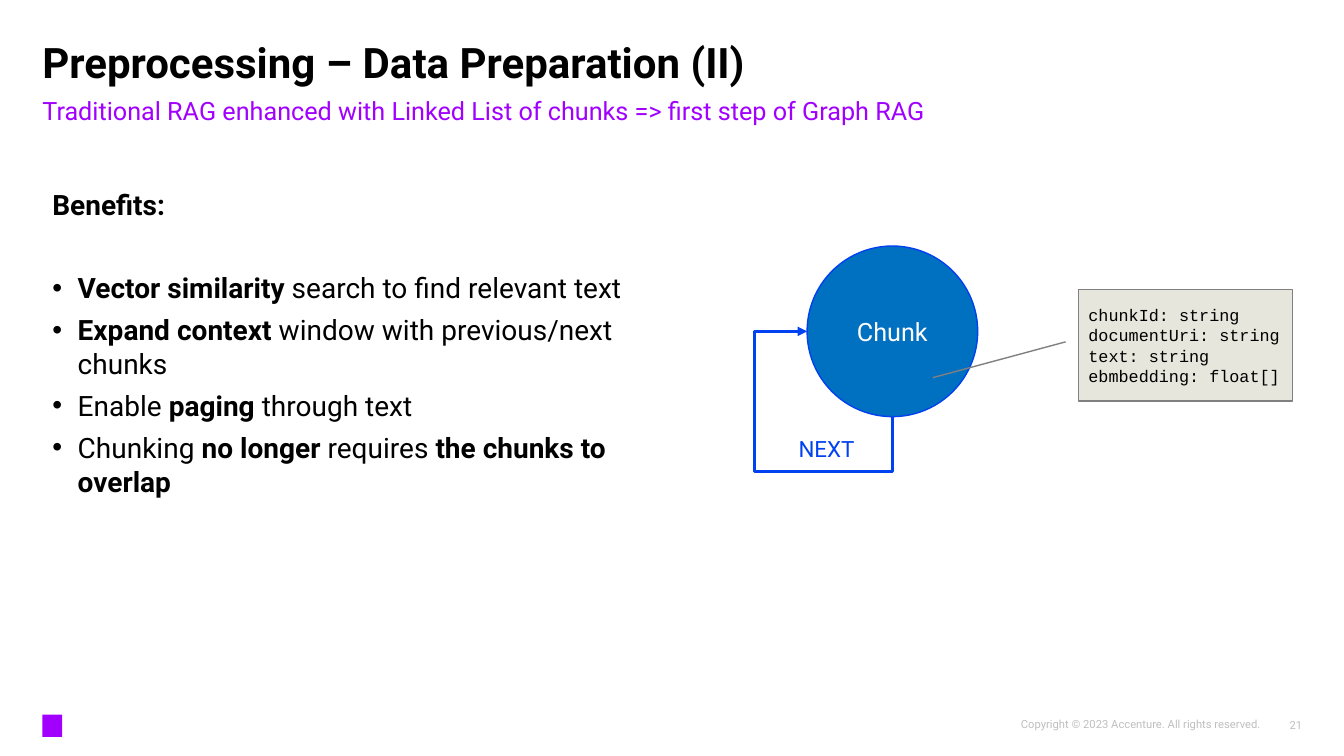
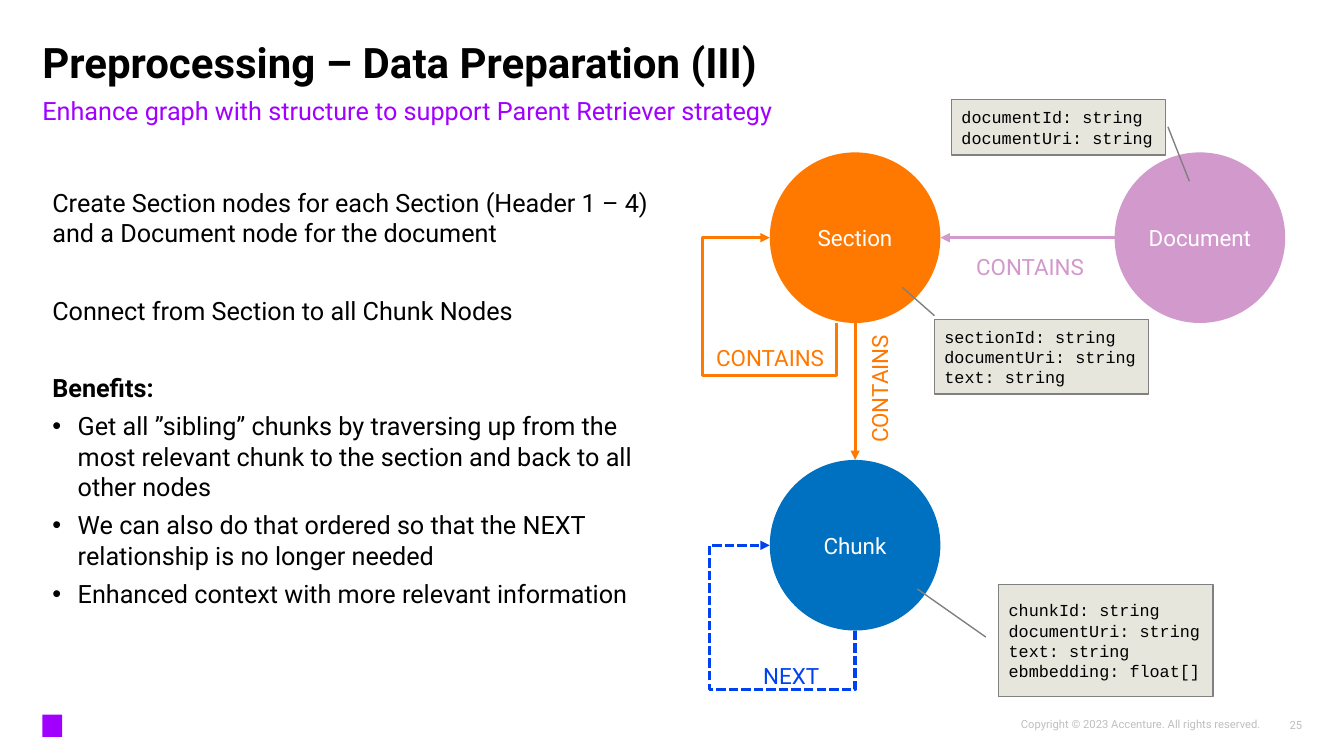
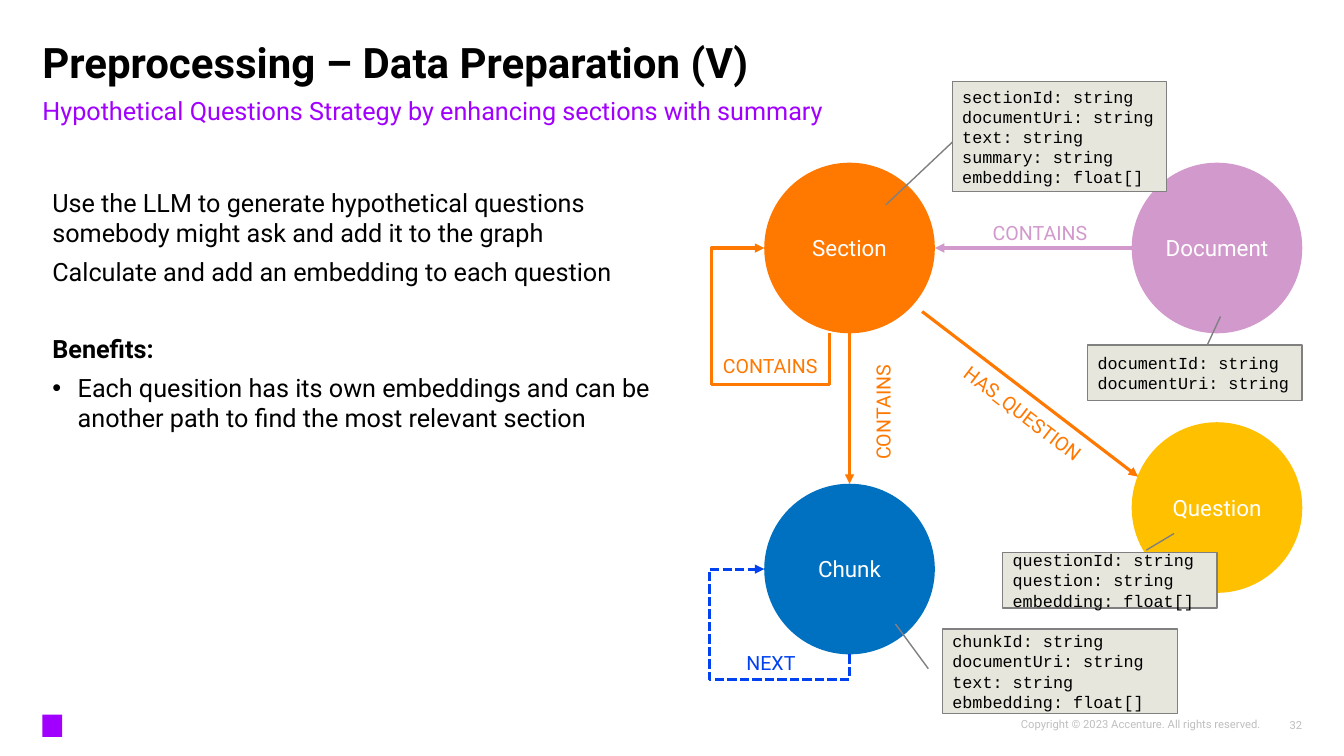
from lxml.etree import SubElement
from pptx import Presentation
from pptx.dml.color import RGBColor
from pptx.enum.dml import MSO_LINE
from pptx.enum.shapes import MSO_CONNECTOR, MSO_SHAPE
from pptx.enum.text import MSO_ANCHOR, PP_ALIGN
from pptx.oxml.ns import qn
from pptx.util import Cm, Pt

COLORS = {
    "black": "000000", "white": "FFFFFF", "purple": "A100FF", "footer": "BFBFBF",
    "chunk": "0070C0", "next": "0041F0", "section": "FF7800",
    "document": "D299CC", "question": "FFC000", "note": "E6E6DC", "note_line": "808080",
}
RADIUS = 2.15
NOTE_WIDTH = 5.4
CHUNK_FIELDS = ["chunkId: string", "documentUri: string", "text: string", "ebmbedding: float[]"]
SECTION_FIELDS = ["sectionId: string", "documentUri: string", "text: string"]
DOCUMENT_FIELDS = ["documentId: string", "documentUri: string"]
QUESTION_FIELDS = ["questionId: string", "question: string", "embedding: float[]"]


def color(name):
    return RGBColor.from_string(COLORS[name])


# Text
def add_span(para, text, size, tint="black", bold=False, font="Roboto"):
    span = para.add_run()
    span.text = text
    span.font.name = font
    span.font.size = Pt(size)
    span.font.bold = bold
    span.font.color.rgb = color(tint)


def set_insets(frame, inset):
    frame.margin_left = frame.margin_right = Cm(inset)
    frame.margin_top = frame.margin_bottom = Cm(inset)


def add_text(page, place, text, size, tint, bold=False, align=PP_ALIGN.LEFT, anchor=MSO_ANCHOR.TOP):
    box = page.shapes.add_textbox(*map(Cm, place))
    frame = box.text_frame
    frame.word_wrap = True
    frame.vertical_anchor = anchor
    set_insets(frame, 0)
    para = frame.paragraphs[0]
    para.alignment = align
    add_span(para, text, size, tint, bold)
    return box


def add_label(page, x, y, text, size, tint, rotation=0):
    width, height = 4.6, 0.86
    place = (x - width / 2, y - height / 2, width, height)
    box = add_text(page, place, text, size, tint, align=PP_ALIGN.CENTER)
    box.rotation = rotation


def add_bullet(para):
    properties = para._p.get_or_add_pPr()
    properties.set("marL", str(Cm(0.64)))
    properties.set("indent", str(-Cm(0.64)))
    SubElement(properties, qn("a:buFont")).set("typeface", "Arial")
    SubElement(properties, qn("a:buChar")).set("char", "•")


def add_body(page, size, items):
    """Each item is (bulleted, space after, [(text, bold), ...])."""
    frame = page.shapes.add_textbox(Cm(1.07), Cm(4.6), Cm(15.88), Cm(12.93)).text_frame
    frame.word_wrap = True
    for index, (bulleted, after, spans) in enumerate(items):
        para = frame.add_paragraph() if index else frame.paragraphs[0]
        if bulleted:
            add_bullet(para)
        para.space_after = Pt(after)
        for text, bold in spans:
            add_span(para, text, size, bold=bold)


# Graph parts
def add_block(page, kind, place, fill, line=None):
    shape = page.shapes.add_shape(kind, *map(Cm, place))
    shape.shadow.inherit = False
    shape.fill.solid()
    shape.fill.fore_color.rgb = color(fill)
    if line:
        shape.line.color.rgb = color(line)
        shape.line.width = Pt(1)
    else:
        shape.line.fill.background()
    frame = shape.text_frame
    frame.word_wrap = True
    frame.vertical_anchor = MSO_ANCHOR.MIDDLE
    return shape


def add_node(page, center, text, fill, size=16, line=None):
    x, y = center
    place = (x - RADIUS, y - RADIUS, 2 * RADIUS, 2 * RADIUS)
    frame = add_block(page, MSO_SHAPE.OVAL, place, fill, line).text_frame
    set_insets(frame, 0)
    para = frame.paragraphs[0]
    para.alignment = PP_ALIGN.CENTER
    add_span(para, text, size, "white")


def add_note(page, left, top, height, fields, pointer, width=NOTE_WIDTH):
    note = add_block(page, MSO_SHAPE.LINE_CALLOUT_1, (left, top, width, height), "note", "note_line")
    for index, value in enumerate(pointer):
        note.adjustments[index] = value
    frame = note.text_frame
    set_insets(frame, 0.25)
    for index, field in enumerate(fields):
        para = frame.add_paragraph() if index else frame.paragraphs[0]
        para.alignment = PP_ALIGN.LEFT
        add_span(para, field, 12, font="Courier New")


def add_arrow(page, start, end, tint, kind=MSO_CONNECTOR.STRAIGHT):
    arrow = page.shapes.add_connector(kind, *map(Cm, start + end))
    arrow.line.color.rgb = color(tint)
    arrow.line.width = Pt(2.25)
    SubElement(arrow.line._get_or_add_ln(), qn("a:tailEnd")).set("type", "triangle")
    SubElement(arrow._element.spPr, qn("a:effectLst"))
    return arrow


def add_loop(page, center, left, bottom, tint, shift=0, dashed=False):
    """Run from below a node, around its lower left, and back into its left side."""
    x, y = center
    start_x, start_y, end_x = x - shift, y + RADIUS, x - RADIUS
    rise, run = RADIUS, start_x - end_x
    # The connector is laid out flat, then mirrored and turned about its middle
    corner_x = (start_x + end_x - rise) / 2
    corner_y = (start_y + y - run) / 2
    arrow = add_arrow(page, (corner_x, corner_y), (corner_x + rise, corner_y + run),
                      tint, MSO_CONNECTOR.ELBOW)
    if dashed:
        arrow.line.dash_style = MSO_LINE.SQUARE_DOT
    properties = arrow._element.spPr
    frame = properties.find(qn("a:xfrm"))
    frame.set("rot", "5400000")
    frame.set("flipH", "1")
    geometry = properties.find(qn("a:prstGeom"))
    geometry.set("prst", "bentConnector4")
    guides = geometry.find(qn("a:avLst"))
    ratios = ((start_y - bottom) / rise, (start_x - left) / run)
    for index, ratio in enumerate(ratios, 1):
        guide = SubElement(guides, qn("a:gd"))
        guide.set("name", f"adj{index}")
        guide.set("fmla", f"val {round(ratio * 100000)}")


def link_down(page, upper, lower, tint):
    add_arrow(page, (upper[0], upper[1] + RADIUS), (lower[0], lower[1] - RADIUS), tint)


def link_left(page, right, left, tint):
    add_arrow(page, (right[0] - RADIUS, right[1]), (left[0] + RADIUS, left[1]), tint)


# Shared page frame
def add_page(deck, part, subtitle, number):
    page = deck.slides.add_slide(deck.slide_layouts[6])
    add_block(page, MSO_SHAPE.RECTANGLE, (1.07, 18.01, 0.5, 0.56), "purple")
    add_text(page, (24.13, 18.08, 7.65, 0.69), "Copyright © 2023 Accenture. All rights reserved.",
             8, "footer", align=PP_ALIGN.RIGHT)
    add_text(page, (31.75, 17.98, 1.07, 0.58), number, 8, "footer",
             align=PP_ALIGN.RIGHT, anchor=MSO_ANCHOR.MIDDLE)
    title = add_text(page, (1.07, 1.07, 31.75, 1.24), f"Preprocessing – Data Preparation ({part})",
                     30, "black", bold=True)
    title.text_frame.paragraphs[0].line_spacing = 0.9
    add_text(page, (1.07, 2.41, 31.75, 1.27), subtitle, 18, "purple")
    return page


def build_linked_list(deck):
    page = add_page(deck, "II", "Traditional RAG enhanced with Linked List of chunks"
                    " => first step of Graph RAG", "21")
    add_body(page, 20, [
        (False, 35.5, [("Benefits:", True)]),
        (True, 6, [("Vector similarity", True), (" search to find relevant text", False)]),
        (True, 6, [("Expand context", True), (" window with previous/next chunks", False)]),
        (True, 6, [("Enable ", False), ("paging", True), (" through text", False)]),
        (True, 6, [("Chunking ", False), ("no longer ", True), ("requires ", False),
                   ("the chunks to overlap", True)]),
    ])
    chunk = (22.49, 8.35)
    add_node(page, chunk, "Chunk", "chunk", size=18, line="next")
    add_loop(page, chunk, 19.02, 11.89, "next")
    add_label(page, 20.83, 11.4, "NEXT", 16, "next")
    add_note(page, 27.18, 7.29, 2.82, CHUNK_FIELDS, (0.47, -0.06, 0.79, -0.68))


def build_parent_retriever(deck):
    page = add_page(deck, "III", "Enhance graph with structure to support"
                    " Parent Retriever strategy", "25")
    add_body(page, 18, [
        (False, 33.5, [("Create Section nodes for each Section (Header 1 – 4)"
                        " and a Document node for the document", False)]),
        (False, 33.5, [("Connect from Section to all Chunk Nodes", False)]),
        (False, 6, [("Benefits:", True)]),
        (True, 6, [("Get all ”sibling” chunks by traversing up from the most relevant"
                    " chunk to the section and back to all other nodes", False)]),
        (True, 6, [("We can also do that ordered so that the NEXT relationship"
                    " is no longer needed", False)]),
        (True, 6, [("Enhanced context with more relevant information", False)]),
    ])
    section, document, chunk = (21.55, 5.99), (30.24, 5.99), (21.55, 13.74)
    add_node(page, chunk, "Chunk", "chunk")
    add_loop(page, chunk, 17.88, 17.37, "next", dashed=True)
    add_label(page, 19.94, 17.12, "NEXT", 16, "next")
    add_node(page, section, "Section", "section")
    add_loop(page, section, 17.7, 9.47, "section", shift=0.46)
    add_label(page, 19.41, 9.09, "CONTAINS", 16, "section")
    link_down(page, section, chunk, "section")
    add_label(page, 22.25, 9.8, "CONTAINS", 16, "section", 270)
    add_node(page, document, "Document", "document")
    link_left(page, document, section, "document")
    add_label(page, 25.96, 6.81, "CONTAINS", 16, "document")
    add_note(page, 23.55, 8.05, 1.88, SECTION_FIELDS, (-0.05, 0, -0.43, -0.15))
    add_note(page, 25.17, 14.73, 2.82, CHUNK_FIELDS, (0.47, -0.06, 0.04, -0.38))
    add_note(page, 23.98, 2.51, 1.4, DOCUMENT_FIELDS, (0.49, 1.01, 1.47, 1.11))


def build_hypothetical_questions(deck):
    page = add_page(deck, "V", "Hypothetical Questions Strategy by enhancing"
                    " sections with summary", "32")
    add_body(page, 18, [
        (False, 6, [("Use the LLM to generate hypothetical questions somebody might ask"
                     " and add it to the graph", False)]),
        (False, 33.5, [("Calculate and add an embedding to each question", False)]),
        (False, 6, [("Benefits:", True)]),
        (True, 6, [("Each quesition has its own embeddings and can be another path"
                    " to find the most relevant section", False)]),
    ])
    section, document = (21.41, 6.25), (30.67, 6.25)
    chunk, question = (21.41, 14.34), (30.67, 12.79)
    add_node(page, chunk, "Chunk", "chunk")
    add_loop(page, chunk, 17.88, 17.12, "next", dashed=True)
    add_label(page, 19.43, 16.84, "NEXT", 14, "next")
    add_node(page, section, "Section", "section")
    add_loop(page, section, 17.93, 9.68, "section", shift=0.5)
    add_label(page, 19.41, 9.35, "CONTAINS", 14, "section")
    link_down(page, section, chunk, "section")
    add_label(page, 22.38, 10.39, "CONTAINS", 14, "section", 270)
    add_node(page, document, "Document", "document")
    link_left(page, document, section, "document")
    add_label(page, 26.21, 5.99, "CONTAINS", 14, "document")
    add_node(page, question, "Question", "question")
    add_arrow(page, (23.24, 7.85), (28.68, 12.01), "section")
    add_label(page, 25.7, 10.52, "HAS_QUESTION", 14, "section", 37.5)
    add_note(page, 23.75, 15.85, 2.13, CHUNK_FIELDS, (0.47, -0.06, -0.06, -0.2), width=5.92)
    add_note(page, 27.41, 8.69, 1.4, DOCUMENT_FIELDS, (-0.01, 0.56, -0.51, 0.62))
    add_note(page, 25.27, 13.92, 1.4, QUESTION_FIELDS, (-0.04, 0.67, -0.34, 0.8))
    add_note(page, 24, 2.06, 2.77, SECTION_FIELDS + ["summary: string", "embedding: float[]"],
             (0.55, 0, 1.12, -0.31))


def main():
    deck = Presentation()
    deck.slide_width, deck.slide_height = Cm(33.87), Cm(19.05)
    build_linked_list(deck)
    build_parent_retriever(deck)
    build_hypothetical_questions(deck)
    deck.save("out.pptx")


if __name__ == "__main__":
    main()
